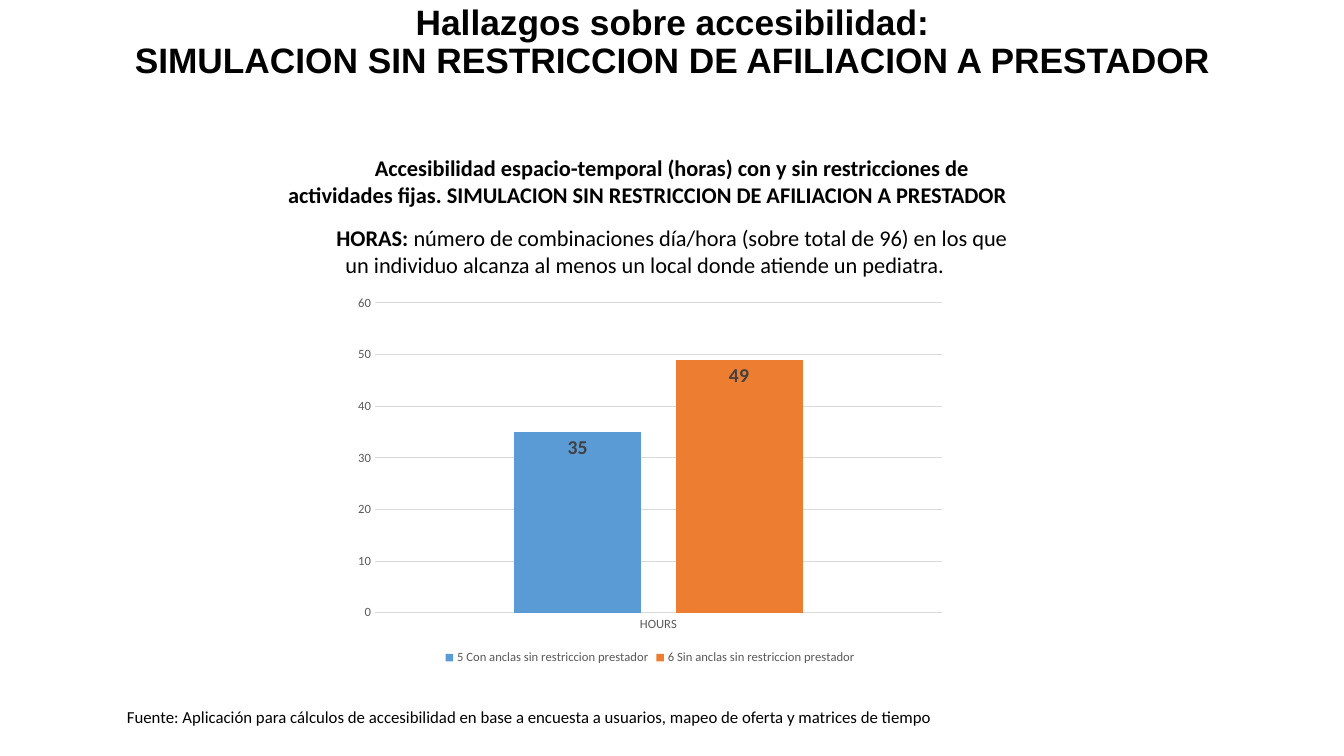
import pptx
import pptx.chart.data
import pptx.dml.color
import pptx.enum.chart
import pptx.enum.text
import pptx.util

PX = 9071.43  # EMU in one px: 1344 px across 13.33 inches

THEME = {
    "heading_font": "Arial", "body_font": "Calibri",
    "black": "000000", "axis_text": "595959", "label_text": "404040", "grid": "D9D9D9",
    "with_anchors": "5B9BD5", "without_anchors": "ED7D31",
    "title_size": 25.2, "body_size": 16, "source_size": 12, "axis_size": 9, "label_size": 14,
}


def style_font(font, name, size, color, bold=False):
    font.name = THEME[name]
    font.size = pptx.util.Pt(THEME[size])
    font.bold = bold
    font.color.rgb = pptx.dml.color.RGBColor.from_string(THEME[color])


def add_text_box(left, top, width, height):
    box = slide.shapes.add_textbox(*(round(length * PX) for length in (left, top, width, height)))
    box.text_frame.word_wrap = True
    return box.text_frame


presentation = pptx.Presentation()
presentation.slide_width = round(1344 * PX)
presentation.slide_height = round(756 * PX)
slide = presentation.slides.add_slide(presentation.slide_layouts[6])

# Title
title = add_text_box(93, 5, 1159, 76)
title.margin_top = title.margin_bottom = 0
title.vertical_anchor = pptx.enum.text.MSO_ANCHOR.MIDDLE
title.text = "Hallazgos sobre accesibilidad:\vSIMULACION SIN RESTRICCION DE AFILIACION A PRESTADOR"
title.paragraphs[0].alignment = pptx.enum.text.PP_ALIGN.CENTER
title.paragraphs[0].line_spacing = 0.9
for run in title.paragraphs[0].runs:
    style_font(run.font, "heading_font", "title_size", "black", True)

# Chart heading and definition: each paragraph is a list of (text, bold)
heading = add_text_box(272, 149, 751, 136)
heading_paragraphs = [
    [("Accesibilidad espacio-temporal (horas) con y sin restricciones de actividades fijas. "
      "SIMULACION SIN RESTRICCION DE AFILIACION A PRESTADOR", True)],
    [("HORAS: ", True),
     ("número de combinaciones día/hora (sobre total de 96) en los que un individuo "
      "alcanza al menos un local donde atiende un pediatra. ", False)],
]
for index, pieces in enumerate(heading_paragraphs):
    paragraph = heading.add_paragraph() if index else heading.paragraphs[0]
    paragraph.alignment = pptx.enum.text.PP_ALIGN.CENTER
    paragraph.space_before = paragraph.space_after = pptx.util.Pt(6)
    paragraph._p.get_or_add_pPr().set("indent", str(round(49 * PX)))
    for text, bold in pieces:
        run = paragraph.add_run()
        run.text = text
        style_font(run.font, "body_font", "body_size", "black", bold)

# Column chart
chart_data = pptx.chart.data.CategoryChartData(number_format="0")
chart_data.categories = ["HOURS"]
chart_data.add_series("5 Con anclas sin restriccion prestador", [35])
chart_data.add_series("6 Sin anclas sin restriccion prestador", [49])
chart = slide.shapes.add_chart(
    pptx.enum.chart.XL_CHART_TYPE.COLUMN_CLUSTERED,
    *(round(length * PX) for length in (346, 288, 608, 381)), chart_data).chart
chart.has_title = False
style_font(chart.font, "body_font", "axis_size", "axis_text")

chart.has_legend = True
chart.legend.position = pptx.enum.chart.XL_LEGEND_POSITION.BOTTOM
chart.legend.include_in_layout = False
style_font(chart.legend.font, "body_font", "axis_size", "axis_text")

plot = chart.plots[0]
plot.gap_width = 219
plot.overlap = -27
plot.vary_by_categories = False
for series, color in zip(plot.series, ("with_anchors", "without_anchors")):
    series.format.fill.solid()
    series.format.fill.fore_color.rgb = pptx.dml.color.RGBColor.from_string(THEME[color])
    labels = series.data_labels
    labels.show_value = True
    labels.position = pptx.enum.chart.XL_LABEL_POSITION.INSIDE_END
    labels.number_format = "0"
    labels.number_format_is_linked = False
    style_font(labels.font, "body_font", "label_size", "label_text", True)

# Axes and gridlines
value_axis = chart.value_axis
value_axis.minimum_scale = 0
value_axis.maximum_scale = 60
value_axis.major_unit = 10
value_axis.format.line.fill.background()
for axis in (chart.category_axis, value_axis):
    axis.major_tick_mark = axis.minor_tick_mark = pptx.enum.chart.XL_TICK_MARK.NONE
    style_font(axis.tick_labels.font, "body_font", "axis_size", "axis_text")
for line in (chart.category_axis.format.line, value_axis.major_gridlines.format.line):
    line.color.rgb = pptx.dml.color.RGBColor.from_string(THEME["grid"])
    line.width = pptx.util.Pt(0.75)

# Source note
source = add_text_box(117, 702, 963, 30)
source.text = ("Fuente: Aplicación para cálculos de accesibilidad en base a encuesta a usuarios, "
               "mapeo de oferta y matrices de tiempo")
style_font(source.paragraphs[0].runs[0].font, "body_font", "source_size", "black")

presentation.save("out.pptx")
